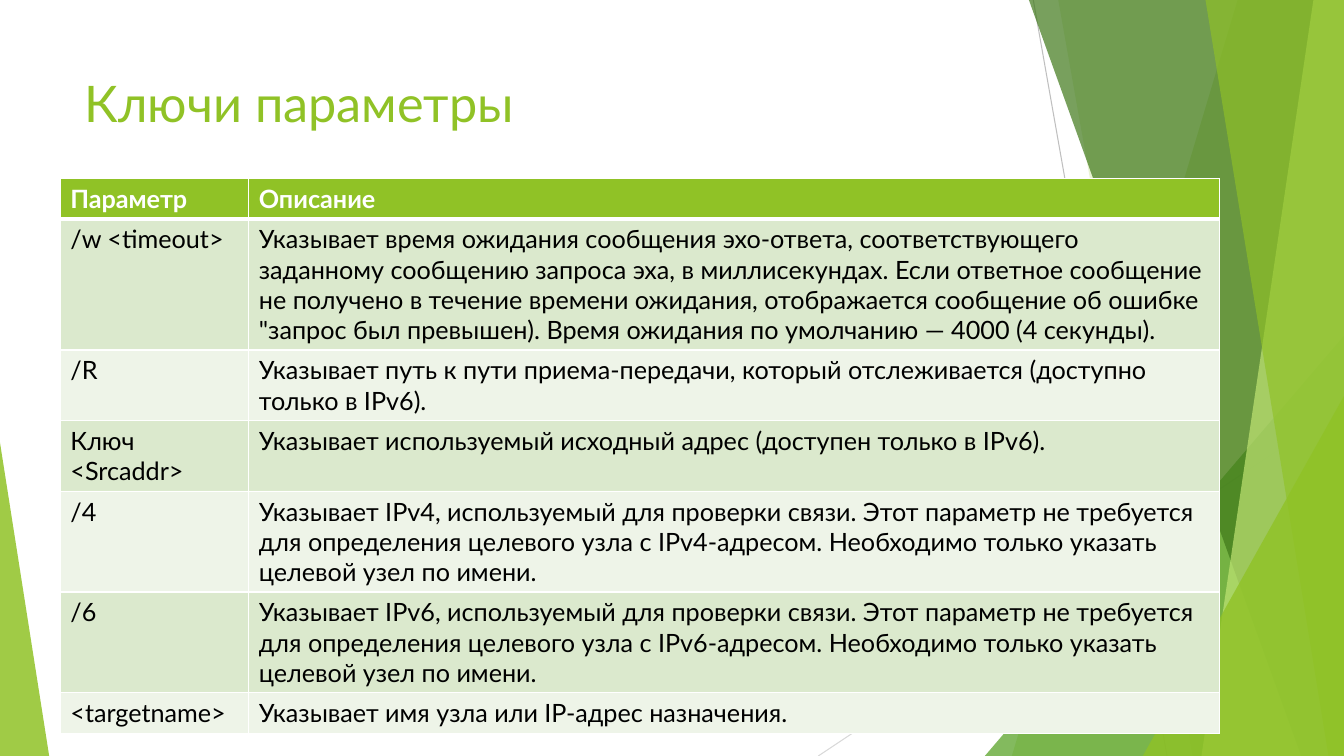
from pptx import Presentation
from pptx.dml.color import RGBColor
from pptx.enum.shapes import MSO_CONNECTOR, MSO_SHAPE
from pptx.enum.text import MSO_ANCHOR, MSO_AUTO_SIZE, PP_ALIGN
from pptx.oxml.ns import qn
from pptx.util import Cm, Pt
from lxml import etree

STRAIGHT = MSO_CONNECTOR.STRAIGHT
TRIANGLE = MSO_SHAPE.ISOSCELES_TRIANGLE
TOP = MSO_ANCHOR.TOP
LEFT = PP_ALIGN.LEFT
NO_AUTOFIT = MSO_AUTO_SIZE.NONE

WIDTH, HEIGHT = 33.87, 19.05
GREEN, DARK_GREEN, FOREST, LIME = "90C226", "54A021", "3F7819", "C0E474"
WHITE, BLACK = "FFFFFF", "000000"
ROW_FILLS = ["DBE9CD", "EEF4E8"]
LINE_HEIGHT, CELL_PADDING = 0.76, 0.25


def color(hex_code):
    return RGBColor.from_string(hex_code)


class SlideBuilder:
    font = "Lato"

    def __init__(self, slide):
        self.slide = slide
        self.shapes = slide.shapes

    def style_text(self, paragraph, size, hex_code, bold=False):
        font = paragraph.font
        font.name, font.size, font.bold = self.font, Pt(size), bold
        font.color.rgb = color(hex_code)

    def title(self, text, left, top, width, height):
        title = self.shapes.title
        title.left, title.top = Cm(left), Cm(top)
        title.width, title.height = Cm(width), Cm(height)
        frame = title.text_frame
        frame.text = text
        frame.word_wrap = True
        frame.auto_size = NO_AUTOFIT
        frame.vertical_anchor = TOP
        frame.paragraphs[0].alignment = LEFT
        self.style_text(frame.paragraphs[0], 36, GREEN)

    def line(self, x1, y1, x2, y2, hex_code):
        line = self.shapes.add_connector(STRAIGHT, Cm(x1), Cm(y1), Cm(x2), Cm(y2))
        line.line.color.rgb = color(hex_code)
        line.line.width = Pt(0.75)
        etree.SubElement(line._element.spPr, qn("a:effectLst"))

    def fill_translucent(self, shape, hex_code, opacity):
        shape.shadow.inherit = False
        shape.line.fill.background()
        shape.fill.solid()
        shape.fill.fore_color.rgb = color(hex_code)
        rgb = shape._element.spPr.find(qn("a:solidFill"))[0]
        etree.SubElement(rgb, qn("a:alpha"), val=str(opacity * 1000))

    def band(self, top_x, bottom_x, hex_code, opacity):
        """Full-height band from a slanted left edge to the slide's right side."""
        outline = self.shapes.build_freeform(Cm(top_x), 0)
        corners = [(WIDTH, 0), (WIDTH, HEIGHT), (bottom_x, HEIGHT)]
        outline.add_line_segments([(Cm(x), Cm(y)) for x, y in corners], close=True)
        self.fill_translucent(outline.convert_to_shape(), hex_code, opacity)

    def corner(self, left, top, width, apex, hex_code, opacity):
        """Triangle standing on the slide's bottom edge."""
        triangle = self.shapes.add_shape(
            TRIANGLE, Cm(left), Cm(top), Cm(width), Cm(HEIGHT - top))
        triangle.adjustments[0] = apex
        self.fill_translucent(triangle, hex_code, opacity)

    def cell_borders(self, cell, top, bottom):
        properties = cell._tc.get_or_add_tcPr()
        widths = {"a:lnL": 1, "a:lnR": 1, "a:lnT": top, "a:lnB": bottom}
        for position, (side, width) in enumerate(widths.items()):
            border = etree.Element(qn(side), w=str(Pt(width)))
            fill = etree.SubElement(border, qn("a:solidFill"))
            etree.SubElement(fill, qn("a:srgbClr"), val=WHITE)
            properties.insert(position, border)

    def table(self, rows, line_counts, left, top, column_widths):
        heights = [CELL_PADDING + LINE_HEIGHT * count for count in line_counts]
        table = self.shapes.add_table(
            len(rows), len(column_widths), Cm(left), Cm(top),
            Cm(sum(column_widths)), Cm(sum(heights))).table
        for column, width in zip(table.columns, column_widths):
            column.width = Cm(width)
        for r, (texts, height) in enumerate(zip(rows, heights)):
            table.rows[r].height = Cm(height)
            header = r == 0
            for c, text in enumerate(texts):
                cell = table.cell(r, c)
                cell.text = text
                cell.fill.solid()
                cell.fill.fore_color.rgb = color(GREEN if header else ROW_FILLS[(r - 1) % 2])
                self.style_text(cell.text_frame.paragraphs[0], 18,
                                WHITE if header else BLACK, header)
                self.cell_borders(cell, 3 if r == 1 else 1, 3 if header else 1)


def ip_version_text(version):
    return (f"Указывает {version}, используемый для проверки связи. Этот параметр "
            f"не требуется для определения целевого узла с {version}-адресом. "
            "Необходимо только указать целевой узел по имени.")


PARAMETERS = [
    ("Параметр", "Описание"),
    ("/w <timeout>",
     "Указывает время ожидания сообщения эхо-ответа, соответствующего заданному "
     "сообщению запроса эха, в миллисекундах. Если ответное сообщение не получено "
     "в течение времени ожидания, отображается сообщение об ошибке \"запрос был "
     "превышен). Время ожидания по умолчанию — 4000 (4 секунды)."),
    ("/R", "Указывает путь к пути приема-передачи, который отслеживается "
           "(доступно только в IPv6)."),
    ("Ключ <Srcaddr>", "Указывает используемый исходный адрес (доступен только в IPv6)."),
    ("/4", ip_version_text("IPv4")),
    ("/6", ip_version_text("IPv6")),
    ("<targetname>", "Указывает имя узла или IP-адрес назначения."),
]
TEXT_LINES = [1, 4, 2, 2, 3, 3, 1]

presentation = Presentation()
presentation.slide_width, presentation.slide_height = Cm(WIDTH), Cm(HEIGHT)
title_only = presentation.slide_layouts[5]
page = SlideBuilder(presentation.slides.add_slide(title_only))

# Green facets along the slide edges
page.line(26.04, 0, 29.41, HEIGHT, "BFBFBF")
page.line(WIDTH, 10.24, 20.62, HEIGHT, "D9D9D9")
page.band(31.19, 25.5, GREEN, 30)
page.band(26.67, 30.05, GREEN, 20)
page.corner(24.82, 8.46, 9.05, 1, DARK_GREEN, 72)
page.band(25.93, 32.79, FOREST, 70)
page.band(33.1, 30.28, LIME, 70)
page.band(30.38, 33.48, GREEN, 65)
page.corner(28.8, 9.98, 5.07, 1, GREEN, 80)
page.corner(0, 11.15, 1.24, 0, GREEN, 85)

# Title and parameter table
page.title("Ключи параметры", 1.88, 1.7, 23.88, 3.66)
page.table(PARAMETERS, TEXT_LINES, 1.52, 4.5, [4.75, 24.46])

presentation.save("out.pptx")
